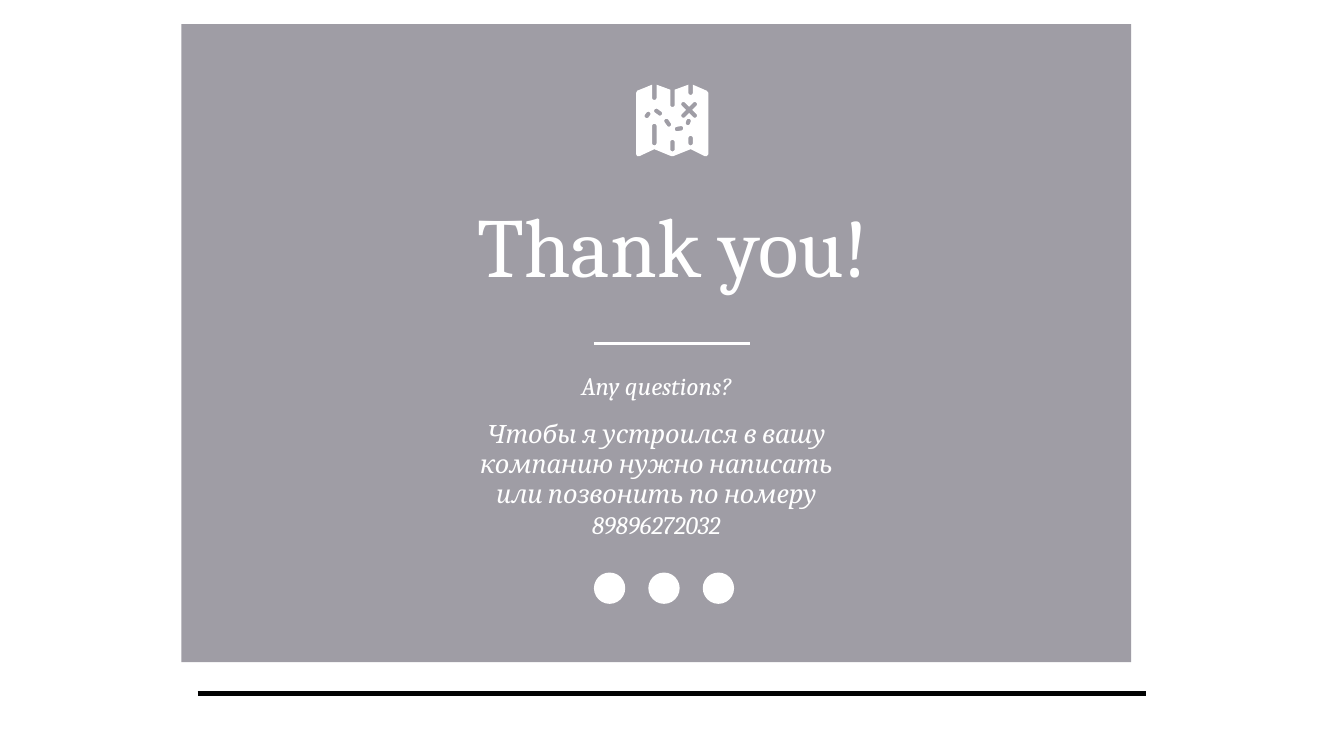
import math

import pptx
import pptx.dml.color
import pptx.enum.shapes
import pptx.enum.text
import pptx.oxml.ns
import pptx.util
from lxml import etree

WHITE = pptx.dml.color.RGBColor(0xFF, 0xFF, 0xFF)
GREY = pptx.dml.color.RGBColor(0x9F, 0x9D, 0xA5)
BLACK = pptx.dml.color.RGBColor(0x02, 0x03, 0x03)

WIDTH, HEIGHT = pptx.util.Inches(13.33), pptx.util.Inches(7.5)
FONT = "Cambria"
SHAPES = pptx.enum.shapes.MSO_SHAPE

MAP_UNIT = 0.01  # inches per unit of the map icon
FINE = 100  # steps per map unit
MARK = 2.2  # half the width of a map mark


def col(share):
    """Percent of the slide's width."""
    return round(WIDTH * share / 100)


def row(share):
    """Percent of the slide's height."""
    return round(HEIGHT * share / 100)


def paint(sp, color):
    sp.fill.solid()
    sp.fill.fore_color.rgb = color
    sp.line.fill.background()
    sp.shadow.inherit = False


def add_block(s, kind, x, y, w, h, color):
    sp = s.shapes.add_shape(kind, x, y, w, h)
    paint(sp, color)


def add_rule(s, x1, x2, y, color, width):
    line = s.shapes.add_connector(
        pptx.enum.shapes.MSO_CONNECTOR.STRAIGHT, col(x1), row(y), col(x2), row(y))
    line.line.color.rgb = color
    line.line.width = pptx.util.Pt(width)
    etree.SubElement(line._element.spPr, pptx.oxml.ns.qn("a:effectLst"))


def add_text(s, x, y, w, h, text, size, italic=False):
    tf = s.shapes.add_textbox(col(x), row(y), col(w), row(h)).text_frame
    tf.word_wrap = True
    tf.auto_size = pptx.enum.text.MSO_AUTO_SIZE.SHAPE_TO_FIT_TEXT
    tf.margin_left = tf.margin_right = pptx.util.Inches(0.05)
    tf.margin_top = tf.margin_bottom = pptx.util.Inches(0.05)
    p = tf.paragraphs[0]
    p.text = text
    p.alignment = pptx.enum.text.PP_ALIGN.CENTER
    r = p.runs[0]
    r.font.name, r.font.size = FONT, pptx.util.Pt(size)
    r.font.italic = italic
    r.font.color.rgb = WHITE


def arc(x, y, start, end):
    """Points on a mark's round end, angles in degrees."""
    angles = [math.radians(start + (end - start) * i / 8) for i in range(9)]
    return [(x + MARK * math.cos(a), y + MARK * math.sin(a)) for a in angles]


def dash(x1, y1, x2, y2):
    """Outline of a round-ended dash."""
    a = math.degrees(math.atan2(y2 - y1, x2 - x1))
    return arc(x2, y2, a - 90, a + 90) + arc(x1, y1, a + 90, a + 270)


def cross(x, y, reach):
    """Outline of a round-ended diagonal cross."""
    points = []
    for a in (45, 135, 225, 315):
        t, corner = math.radians(a), math.radians(a + 45)
        points += arc(x + reach * math.cos(t), y + reach * math.sin(t), a - 90, a + 90)
        points.append((x + MARK * math.sqrt(2) * math.cos(corner),
                       y + MARK * math.sqrt(2) * math.sin(corner)))
    return points


def add_map(s, x, y):
    # Sheet with three notches in its top edge
    sheet = [(0, 8), (1, 6)]
    for fold, top, depth in ((18, 0, 13), (36, 5, 20), (54, 0, 8)):
        sheet.append((fold - MARK, top))
        sheet += arc(fold, depth, 180, 0)
        sheet.append((fold + MARK, top))
    sheet += [(70, 6), (71.5, 8), (71.5, 69), (70, 71), (68, 71), (54, 64),
              (36.5, 71), (35, 71), (18, 64), (3, 71), (1, 71), (0, 69)]
    # Fold lines and route dashes
    marks = [(18, 41, 18, 58), (36, 57, 36, 64), (54, 53, 54, 58),
             (10.5, 31, 12, 29), (20, 26, 23.5, 28.5), (30, 36, 32.5, 39.5),
             (40.5, 44, 44.5, 43.3), (51.3, 38, 52, 36)]
    contours = [sheet, cross(52.5, 25, 8)] + [dash(*m) for m in marks]

    contours = [[(px * FINE, py * FINE) for px, py in c] for c in contours]
    builder = s.shapes.build_freeform(
        *contours[0][0], scale=pptx.util.Inches(MAP_UNIT) / FINE)
    builder.add_line_segments(contours[0][1:])
    for contour in contours[1:]:
        builder.move_to(*contour[0])
        builder.add_line_segments(contour[1:])
    paint(builder.convert_to_shape(col(x), row(y)), WHITE)


def main():
    prs = pptx.Presentation()
    prs.slide_width, prs.slide_height = WIDTH, HEIGHT
    s = prs.slides.add_slide(prs.slide_layouts[6])

    # Panel and rules
    add_block(s, SHAPES.RECTANGLE, col(13.5), row(3.2), col(70.67), row(84.4), GREY)
    add_rule(s, 14.7, 85.3, 91.73, BLACK, 4)
    add_rule(s, 44.19, 55.81, 45.47, WHITE, 2)

    # Wording
    add_text(s, 30.61, 24.93, 38.93, 14.8, "Thank you!", 60)
    add_text(s, 35.26, 48.27, 27.16, 5.73, "Any questions?", 18, italic=True)
    add_text(s, 35.26, 54.67, 27.16, 17.47,
             "Чтобы я устроился в вашу компанию нужно написать "
             "или позвонить по номеру 89896272032", 18, italic=True)

    # Map icon and contact dots
    add_map(s, 47.34, 11.2)
    for i in range(3):
        add_block(s, SHAPES.OVAL, col(44.19 + 4.05 * i), row(75.73),
                  col(2.33), col(2.33), WHITE)

    prs.save("out.pptx")


if __name__ == "__main__":
    main()
